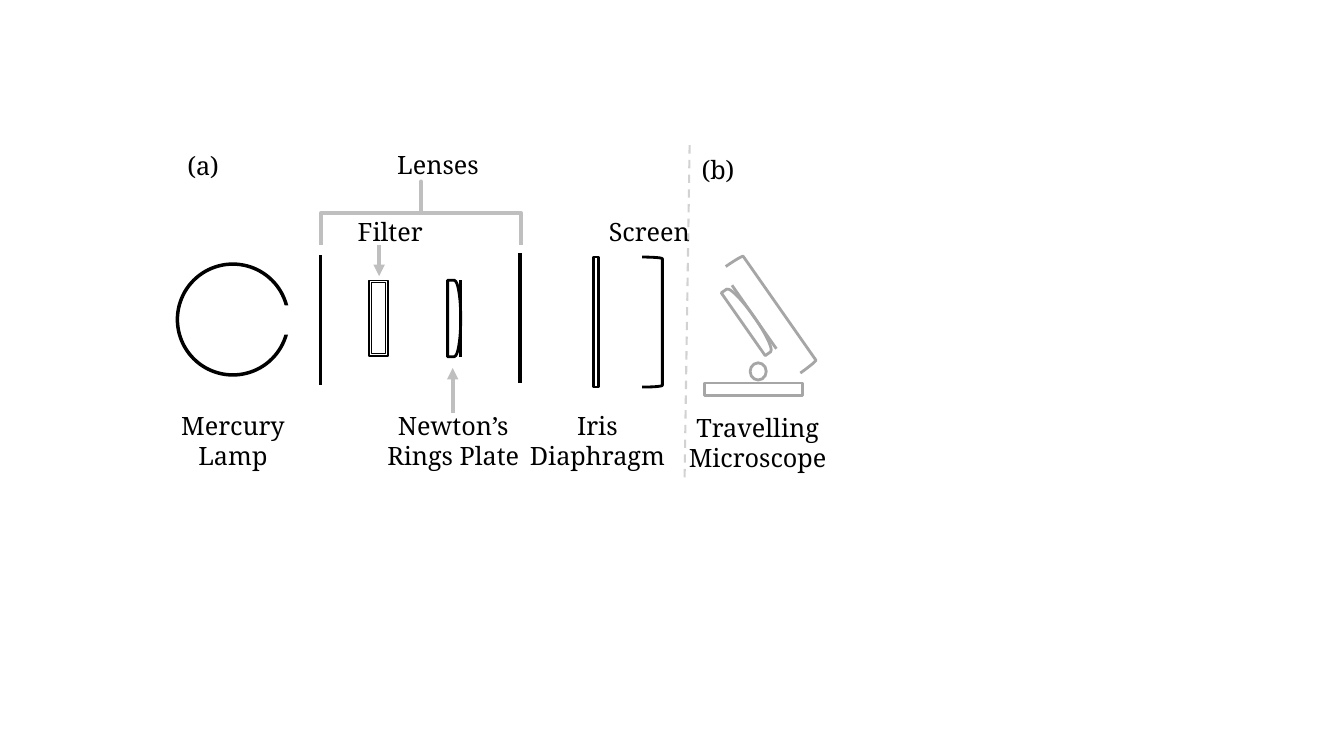
from lxml import etree
from pptx import Presentation
from pptx.dml.color import RGBColor
from pptx.enum.dml import MSO_LINE
from pptx.enum.shapes import MSO_CONNECTOR, MSO_SHAPE
from pptx.enum.text import MSO_AUTO_SIZE, PP_ALIGN
from pptx.oxml.ns import qn
from pptx.util import Inches, Pt

BLACK, WHITE, GRAY, LIGHT = "000000", "FFFFFF", "A6A6A6", "BFBFBF"
color = RGBColor.from_string


def outline(parent, kind, box, line=BLACK, width=2, fill=WHITE, rotation=0):
    shape = parent.shapes.add_shape(kind, *map(Inches, box))
    shape.shadow.inherit = False
    shape.rotation = rotation
    if fill:
        shape.fill.solid()
        shape.fill.fore_color.rgb = color(fill)
    else:
        shape.fill.background()
    if line:
        shape.line.color.rgb = color(line)
        shape.line.width = Pt(width)
    else:
        shape.line.fill.background()
    return shape


def straight(parent, ends, line=BLACK, width=2, arrow=False):
    connector = parent.shapes.add_connector(MSO_CONNECTOR.STRAIGHT, *map(Inches, ends))
    connector.line.color.rgb = color(line)
    connector.line.width = Pt(width)
    if arrow:
        etree.SubElement(connector.line._get_or_add_ln(), qn("a:tailEnd"), type="triangle")
    etree.SubElement(connector._element.spPr, qn("a:effectLst"))
    return connector


prs = Presentation()
prs.slide_width, prs.slide_height = Inches(13.33), Inches(7.5)
slide = prs.slides.add_slide(prs.slide_layouts[6])

outline(slide, MSO_SHAPE.OVAL, (1.76, 2.62, 1.1, 1.1), width=2.5)
outline(slide, MSO_SHAPE.RECTANGLE, (2.64, 3.03, 0.39, 0.29), line=None)

for x, top in ((3.18, 2.53), (5.16, 2.51)):
    straight(slide, (x, top, x, top + 1.29), width=2.5)
lens_brace = outline(slide, MSO_SHAPE.RIGHT_BRACE, (3.86, 1.12, 0.63, 1.99),
                     LIGHT, 2.75, None, 270)
lens_brace.adjustments[0] = 0
lens_brace.adjustments[1] = 0.5

outline(slide, MSO_SHAPE.FRAME, (3.66, 2.78, 0.19, 0.75), width=1)
outline(slide, MSO_SHAPE.RECTANGLE, (5.89, 2.55, 0.05, 1.29))

for plate_box, glass, screen_box, line, rotation in (
    ((4.44, 2.78, 0.13, 0.76), (4.57, 2.78, 4.57, 3.54), (6.37, 2.55, 0.2, 1.29), BLACK, 0),
    ((7.36, 2.8, 0.13, 0.76), (7.26, 2.83, 7.7, 3.46), (7.55, 2.47, 0.2, 1.29), GRAY, 325),
):
    outline(slide, MSO_SHAPE.RIGHT_BRACKET, screen_box, line, fill=None, rotation=rotation)
    rings_plate = slide.shapes.add_group_shape()
    outline(rings_plate, MSO_SHAPE.FLOWCHART_DELAY, plate_box, line, rotation=rotation)
    straight(rings_plate, glass, line)

for arrow_ends in ((4.49, 4.1, 4.49, 3.65), (3.76, 2.43, 3.76, 2.74)):
    straight(slide, arrow_ends, LIGHT, 2.75, arrow=True)

stand = slide.shapes.add_group_shape()
outline(stand, MSO_SHAPE.RECTANGLE, (6.99, 3.8, 0.97, 0.12), GRAY)
outline(stand, MSO_SHAPE.OVAL, (7.44, 3.6, 0.16, 0.17), GRAY)

labels = (
    (("Mercury", "Lamp"), 1.45, 4.02, 1.72),
    (("Lenses",), 3.84, 1.43, 1.05),
    (("Newton’s", "Rings Plate"), 3.09, 4.02, 2.81),
    (("Iris", "Diaphragm"), 4.84, 4.02, 2.17),
    (("Screen",), 5.94, 2.1, 1.36),
    (("Filter",), 3.45, 2.1, 1.84),
    (("Travelling", "Microscope"), 6.43, 4.04, 2.17),
    (("(a)",), 1.76, 1.44, 0.68),
    (("(b)",), 6.86, 1.48, 0.68),
)
for lines, left, top, width in labels:
    height = 0.4 if len(lines) == 1 else 0.71
    frame = slide.shapes.add_textbox(*map(Inches, (left, top, width, height))).text_frame
    frame.word_wrap = True
    frame.auto_size = MSO_AUTO_SIZE.SHAPE_TO_FIT_TEXT
    frame.text = "\n".join(lines)
    for paragraph in frame.paragraphs:
        paragraph.alignment = PP_ALIGN.LEFT if len(lines) == 1 else PP_ALIGN.CENTER
        font = paragraph.runs[0].font
        font.name, font.size = "Noto Serif", Pt(18)
        font.color.rgb = color(BLACK)

divider = straight(slide, (6.84, 1.44, 6.79, 4.75), "808080", 1.5)
divider.line.dash_style = MSO_LINE.DASH
divider_color = divider._element.spPr.find(".//" + qn("a:srgbClr"))
etree.SubElement(divider_color, qn("a:alpha"), val="35000")

prs.save("out.pptx")
